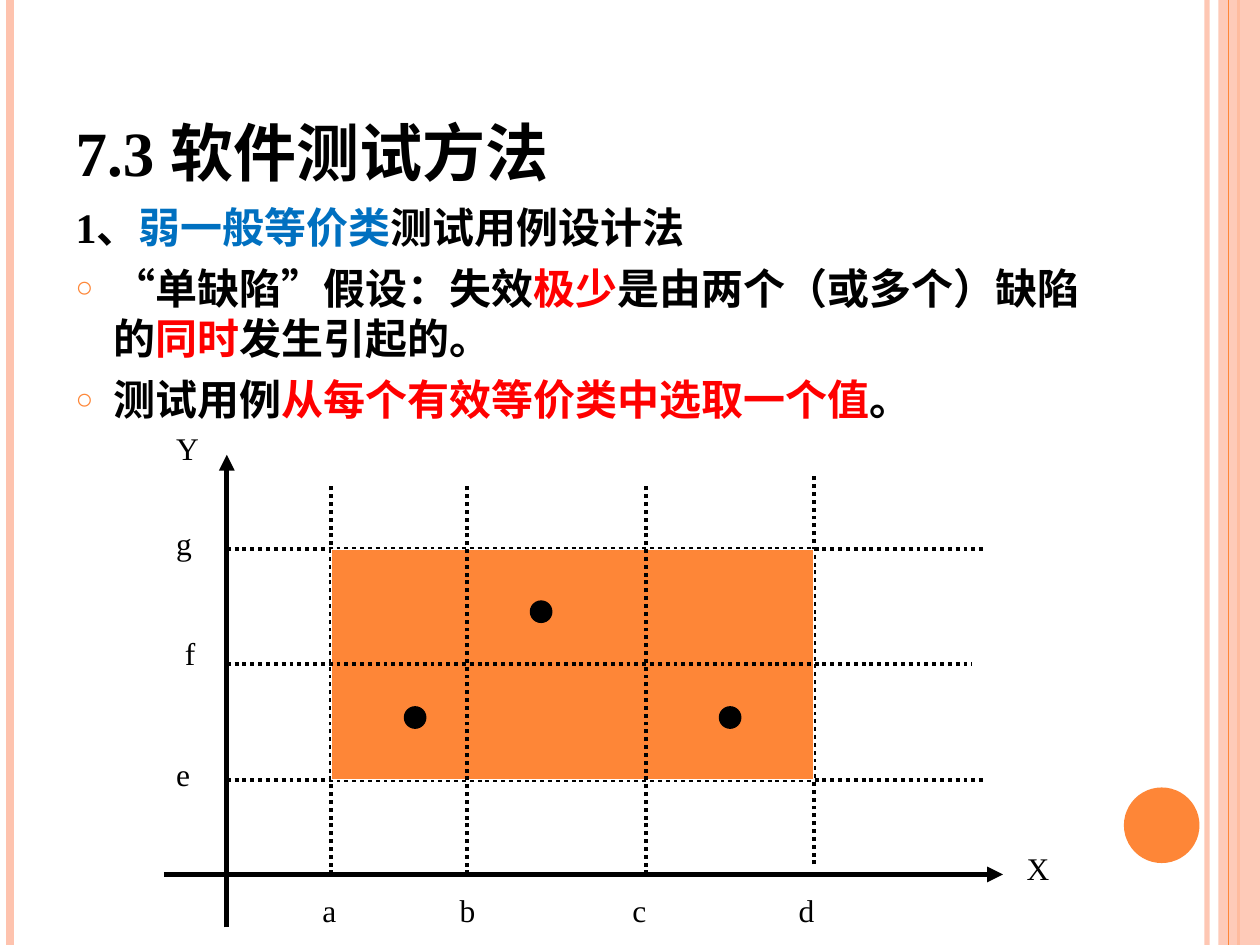
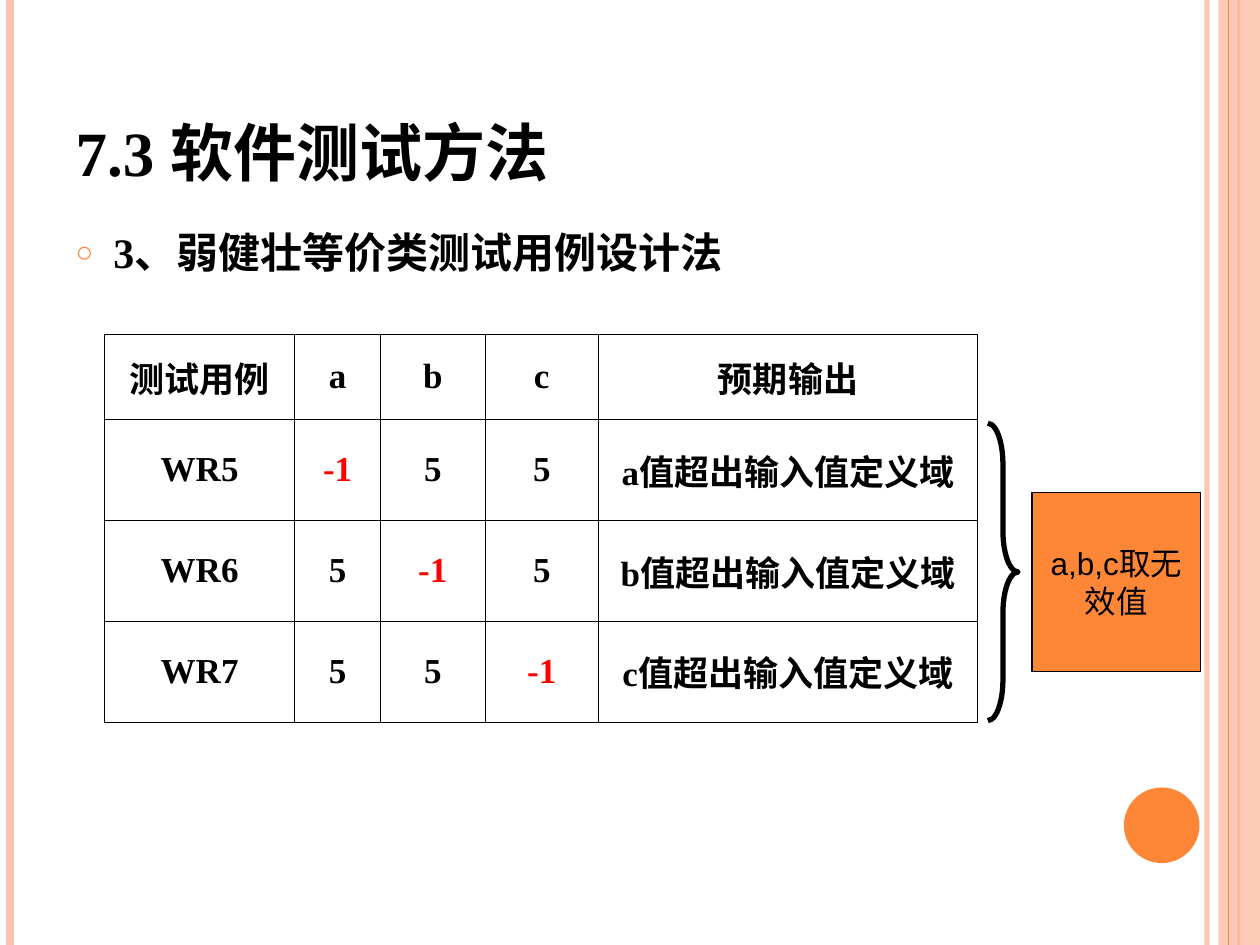
from dataclasses import dataclass
from typing import Optional

from lxml import etree
from pptx import Presentation
from pptx.dml.color import RGBColor
from pptx.enum.dml import MSO_LINE
from pptx.enum.shapes import MSO_CONNECTOR, MSO_SHAPE
from pptx.enum.text import MSO_ANCHOR, MSO_AUTO_SIZE, PP_ALIGN
from pptx.oxml.ns import qn
from pptx.util import Inches, Pt

ORANGE = RGBColor(0xFE, 0x86, 0x37)
PEACH = RGBColor(0xFE, 0xC3, 0xAE)
BLACK = RGBColor(0, 0, 0)
WHITE = RGBColor(0xFF, 0xFF, 0xFF)
RED = RGBColor(0xFF, 0, 0)
BLUE = RGBColor(0, 0x70, 0xC0)

SERIF = "Times New Roman"
SANS = "Arial"
TITLE = "7.3 软件测试方法"

STRAIGHT = MSO_CONNECTOR.STRAIGHT
RECT = MSO_SHAPE.RECTANGLE
OVAL = MSO_SHAPE.OVAL
BRACE = MSO_SHAPE.RIGHT_BRACE
DOTTED = MSO_LINE.ROUND_DOT
NO_AUTOFIT = MSO_AUTO_SIZE.NONE
LEFT = PP_ALIGN.LEFT
CENTER = PP_ALIGN.CENTER
TOP = MSO_ANCHOR.TOP
MIDDLE = MSO_ANCHOR.MIDDLE
BOTTOM = MSO_ANCHOR.BOTTOM


@dataclass(frozen=True)
class Line:
    x1: float
    y1: float
    x2: float
    y2: float
    color: RGBColor = BLACK
    width: float = 2.25
    dotted: bool = False
    arrow: bool = False
    opacity: int = 100


@dataclass(frozen=True)
class Label:
    text: str
    left: float
    top: float
    width: float = 0.33


@dataclass(frozen=True)
class Phrase:
    text: str
    color: RGBColor = BLACK


@dataclass(frozen=True)
class Item:
    phrases: tuple[Phrase, ...]
    bullet: bool = True


STRIPES = (
    Line(9.58, 0, 9.58, 7.5, PEACH, 3, opacity=93),
    Line(0.08, 0, 0.08, 7.5, PEACH, 4.5),
    Line(9.83, 0, 9.83, 7.5, ORANGE, 1.5),
)

X_AXIS, Y_AXIS = 6.94, 1.8
A, B, C, D = 2.63, 3.71, 5.13, 6.46
G, F, E = 4.36, 5.27, 6.19
AXES = (
    Line(1.3, X_AXIS, 7.96, X_AXIS, width=3, arrow=True),
    Line(Y_AXIS, 7.36, Y_AXIS, 3.61, width=3, arrow=True),
)
OUTER_LIMITS = (
    Line(Y_AXIS, E, 7.8, E, dotted=True),
    Line(Y_AXIS, G, 7.8, G, dotted=True),
    Line(A, X_AXIS, A, 3.86, dotted=True),
    Line(D, 6.86, D, 3.77, dotted=True),
)
INNER_LIMITS = (
    Line(B, X_AXIS, B, 3.86, dotted=True),
    Line(C, X_AXIS, C, 3.86, dotted=True),
    Line(Y_AXIS, F, 7.71, F, dotted=True),
)
LABELS = (
    Label("a", 2.46, 7.02), Label("b", 3.55, 7.02),
    Label("c", 4.92, 7.02), Label("d", 6.24, 7.02),
    Label("g", 1.3, 4.11), Label("f", 1.37, 4.98), Label("e", 1.3, 5.94),
    Label("Y", 1.3, 3.36, 0.67), Label("X", 8.05, 6.69, 0.58),
)
TEST_POINTS = ((3.21, 5.61), (4.21, 4.77), (5.71, 5.61))

WEAK_NORMAL = (
    Item((Phrase("1、"), Phrase("弱一般等价类", BLUE), Phrase("测试用例设计法")), False),
    Item((Phrase("“单缺陷”假设：失效"), Phrase("极少", RED),
          Phrase("是由两个（或多个）缺陷的"), Phrase("同时", RED),
          Phrase("发生引起的。"))),
    Item((Phrase("测试用例"), Phrase("从每个有效等价类中选取一个值", RED), Phrase("。"))),
)
WEAK_ROBUST = (Item((Phrase("3、弱健壮等价类测试用例设计法"),)),)

CASES = (
    ("测试用例", "a", "b", "c", "预期输出"),
    ("WR5", "-1", "5", "5", "a值超出输入值定义域"),
    ("WR6", "5", "-1", "5", "b值超出输入值定义域"),
    ("WR7", "5", "5", "-1", "c值超出输入值定义域"),
)
COL_WIDTHS = (1.51, 0.68, 0.83, 0.9, 3.01)
ROW_HEIGHTS = (0.68, 0.8, 0.8, 0.8)


def style(font, size: float, color: RGBColor = BLACK,
          bold: bool = False, name: str = SERIF) -> None:
    font.name = name
    font.size = Pt(size)
    font.bold = bold
    font.color.rgb = color


def set_opacity(element, percent: int) -> None:
    clr = element.find(".//" + qn("a:srgbClr"))
    etree.SubElement(clr, qn("a:alpha")).set("val", str(percent * 1000))


def draw_line(s, line: Line) -> None:
    c = s.shapes.add_connector(STRAIGHT, Inches(line.x1), Inches(line.y1),
                               Inches(line.x2), Inches(line.y2))
    c.line.color.rgb = line.color
    c.line.width = Pt(line.width)
    if line.dotted:
        c.line.dash_style = DOTTED
    sp_pr = c.element.spPr
    if line.arrow:
        etree.SubElement(sp_pr.get_or_add_ln(), qn("a:tailEnd")).set("type", "triangle")
    if line.opacity < 100:
        set_opacity(sp_pr, line.opacity)
    etree.SubElement(sp_pr, qn("a:effectLst"))


def draw_shape(s, kind, left: float, top: float, width: float, height: float,
               fill: Optional[RGBColor] = None,
               line: Optional[RGBColor] = None, line_width: float = 0.75):
    sp = s.shapes.add_shape(kind, Inches(left), Inches(top), Inches(width), Inches(height))
    sp.shadow.inherit = False
    if fill is None:
        sp.fill.background()
    else:
        sp.fill.solid()
        sp.fill.fore_color.rgb = fill
    if line is None:
        sp.line.fill.background()
    else:
        sp.line.color.rgb = line
        sp.line.width = Pt(line_width)
    return sp


def draw_label(s, label: Label) -> None:
    box = s.shapes.add_textbox(Inches(label.left), Inches(label.top),
                               Inches(label.width), Inches(0.4))
    tf = box.text_frame
    tf.word_wrap = True
    tf.text = label.text
    style(tf.paragraphs[0].runs[0].font, 18)


def place(sp, top: float, height: float, anchor):
    sp.left, sp.top = Inches(0.5), Inches(top)
    sp.width, sp.height = Inches(8.17), Inches(height)
    tf = sp.text_frame
    tf.auto_size = NO_AUTOFIT
    tf.vertical_anchor = anchor
    return tf


def set_bullet(p, bullet: bool) -> None:
    p_pr = p._p.get_or_add_pPr()
    p_pr.set("marL", str(Inches(0.3)))
    p_pr.set("indent", str(Inches(-0.3)))
    if not bullet:
        etree.SubElement(p_pr, qn("a:buNone"))
        return
    clr = etree.SubElement(p_pr, qn("a:buClr"))
    etree.SubElement(clr, qn("a:srgbClr")).set("val", str(ORANGE))
    etree.SubElement(p_pr, qn("a:buSzPct")).set("val", "70000")
    etree.SubElement(p_pr, qn("a:buFont")).set("typeface", SANS)
    etree.SubElement(p_pr, qn("a:buChar")).set("char", "○")


def fill_body(s, items: tuple[Item, ...], top: float, height: float) -> None:
    tf = place(s.placeholders[1], top, height, TOP)
    for i, item in enumerate(items):
        p = tf.paragraphs[0] if i == 0 else tf.add_paragraph()
        set_bullet(p, item.bullet)
        p.alignment = LEFT
        p.space_before = Pt(6 if i else 0)
        for phrase in item.phrases:
            r = p.add_run()
            r.text = phrase.text
            style(r.font, 24, phrase.color, True)


def new_slide(prs):
    s = prs.slides.add_slide(prs.slide_layouts[1])
    for stripe in STRIPES:
        draw_line(s, stripe)
    band = draw_shape(s, RECT, 9.67, 0, 0.33, 7.5, PEACH)
    set_opacity(band.element.spPr, 87)
    draw_line(s, Line(9.75, 0, 9.75, 7.5, ORANGE, 0.75))
    draw_shape(s, OVAL, 8.92, 6.25, 0.6, 0.6, ORANGE)
    tf = place(s.shapes.title, 0.3, 1.25, BOTTOM)
    tf.text = TITLE
    p = tf.paragraphs[0]
    p.alignment = LEFT
    style(p.runs[0].font, 36, bold=True)
    return s


def border_cell(cell) -> None:
    tc_pr = cell._tc.get_or_add_tcPr()
    for side in ("lnL", "lnR", "lnT", "lnB"):
        ln = etree.SubElement(tc_pr, qn("a:" + side), w=str(Pt(0.45)))
        solid = etree.SubElement(ln, qn("a:solidFill"))
        etree.SubElement(solid, qn("a:srgbClr")).set("val", str(BLACK))


def draw_cases(s) -> None:
    table = s.shapes.add_table(len(CASES), len(COL_WIDTHS), Inches(0.83), Inches(2.65),
                               Inches(sum(COL_WIDTHS)), Inches(sum(ROW_HEIGHTS))).table
    table.first_row = table.horz_banding = False
    for col, width in zip(table.columns, COL_WIDTHS):
        col.width = Inches(width)
    for row, height, texts in zip(table.rows, ROW_HEIGHTS, CASES):
        row.height = Inches(height)
        for cell, text in zip(row.cells, texts):
            border_cell(cell)
            cell.fill.background()
            cell.vertical_anchor = MIDDLE
            cell.text_frame.text = text
            p = cell.text_frame.paragraphs[0]
            p.alignment = CENTER
            style(p.runs[0].font, 20, RED if text == "-1" else BLACK, True)


def weak_normal_slide(prs) -> None:
    s = new_slide(prs)
    fill_body(s, WEAK_NORMAL, 1.55, 1.97)
    for line in AXES + OUTER_LIMITS:
        draw_line(s, line)
    for label in LABELS:
        draw_label(s, label)
    draw_shape(s, RECT, A, G, D - A, E - G, ORANGE, WHITE)
    for line in INNER_LIMITS:
        draw_line(s, line)
    for left, top in TEST_POINTS:
        draw_shape(s, OVAL, left, top, 0.17, 0.17, BLACK, BLACK)


def weak_robust_slide(prs) -> None:
    s = new_slide(prs)
    fill_body(s, WEAK_ROBUST, 1.75, 5.33)
    draw_cases(s)
    brace = draw_shape(s, BRACE, 7.84, 3.36, 0.24, 2.36, line=BLACK, line_width=3)
    brace.adjustments[0] = 1.35
    note = draw_shape(s, RECT, 8.19, 3.91, 1.34, 1.42, ORANGE, BLACK)
    tf = note.text_frame
    tf.word_wrap = True
    tf.vertical_anchor = MIDDLE
    tf.text = "a,b,c取无效值"
    p = tf.paragraphs[0]
    p.alignment = CENTER
    style(p.runs[0].font, 18, name=SANS)


def main() -> None:
    prs = Presentation()
    prs.slide_width, prs.slide_height = Inches(10), Inches(7.5)
    weak_normal_slide(prs)
    weak_robust_slide(prs)
    prs.save("out.pptx")


if __name__ == "__main__":
    main()
